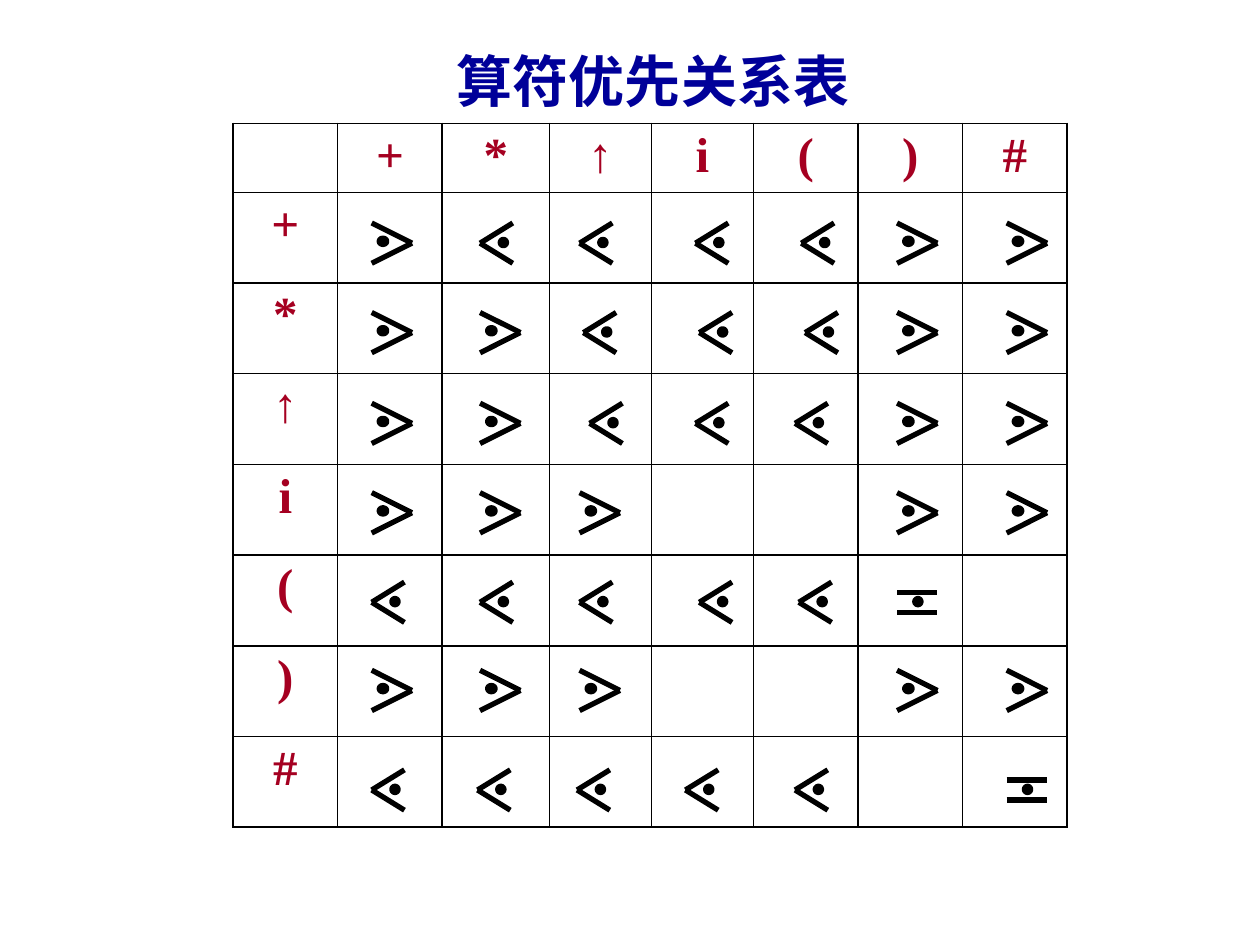
from lxml import etree
from pptx import Presentation
from pptx.dml.color import RGBColor
from pptx.enum import shapes, text
from pptx.oxml.ns import qn
from pptx.util import Inches, Pt

BLACK = RGBColor(0x00, 0x00, 0x00)
NAVY = RGBColor(0x00, 0x00, 0x99)
CRIMSON = RGBColor(0xA5, 0x00, 0x21)
FONT = "Times New Roman"

OPERATORS = ["+", "*", "↑", "i", "(", ")", "#"]
COLUMN_WIDTHS = [0.83, 0.83, 0.85, 0.81, 0.81, 0.83, 0.83, 0.83]
HEADER_HEIGHT, ROW_HEIGHT = 0.53, 0.72

# Each row: top of its symbols, relations by column, left edge of each symbol
RELATIONS = [
    (1.77, "><<<<>>", [2.95, 3.81, 4.60, 5.52, 6.36, 7.12, 7.99]),
    (2.48, ">><<<>>", [2.95, 3.81, 4.63, 5.55, 6.39, 7.12, 7.99]),
    (3.20, ">><<<>>", [2.95, 3.81, 4.68, 5.52, 6.31, 7.12, 7.99]),
    (3.91, ">>>  >>", [2.95, 3.81, 4.60, 0, 0, 7.12, 7.99]),
    (4.62, "<<<<<= ", [2.95, 3.81, 4.60, 5.55, 6.34, 7.12, 0]),
    (5.32, ">>>  >>", [2.95, 3.81, 4.60, 0, 0, 7.12, 7.99]),
    (6.11, "<<<<< =", [2.95, 3.79, 4.58, 5.44, 6.31, 0, 7.99]),
]
# Each symbol: two strokes (x1, y1, x2, y2) and its dot (x, y, width, height)
SYMBOLS = {
    ">": ([(0, 0, 0.32, 0.16), (0.32, 0.16, 0, 0.32)], (0.06, 0.12, 0.06, 0.05)),
    "<": ([(0.26, 0.32, 0, 0.16), (0, 0.16, 0.26, 0)], (0.16, 0.13, 0.05, 0.05)),
    "=": ([(0, 0.08, 0.32, 0.08), (0, 0.24, 0.32, 0.24)], (0.14, 0.13, 0.05, 0.05)),
}


def write(tf, words, size, color):
    p = tf.paragraphs[0]
    p.alignment = text.PP_ALIGN.CENTER
    r = p.add_run()
    r.text = words
    for name, value in dict(name=FONT, size=Pt(size), bold=True).items():
        setattr(r.font, name, value)
    r.font.color.rgb = color


def draw_symbol(s, relation, left, top):
    """Draw a dotted precedence sign as one group."""
    strokes, (x, y, width, height) = SYMBOLS[relation]
    group = s.shapes.add_group_shape()
    for x1, y1, x2, y2 in strokes:
        line = group.shapes.add_connector(
            shapes.MSO_CONNECTOR.STRAIGHT,
            Inches(left + x1), Inches(top + y1), Inches(left + x2), Inches(top + y2))
        line.line.color.rgb = BLACK
        line.line.width = Pt(3)
        etree.SubElement(line._element.spPr, qn("a:effectLst"))
    dot = group.shapes.add_shape(
        shapes.MSO_SHAPE.OVAL,
        Inches(left + x), Inches(top + y), Inches(width), Inches(height))
    dot.shadow.inherit = False
    dot.fill.solid()
    dot.fill.fore_color.rgb = BLACK
    dot.line.color.rgb = BLACK
    dot.line.width = Pt(3)


prs = Presentation()
prs.slide_width, prs.slide_height = Inches(10), Inches(7.5)
s = prs.slides.add_slide(prs.slide_layouts[6])

title = s.shapes.add_textbox(Inches(1.77), Inches(0.36), Inches(6.93), Inches(0.55))
tf = title.text_frame
tf.word_wrap = True
tf.vertical_anchor = text.MSO_ANCHOR.MIDDLE
write(tf, "算符优先关系表 ", 32, NAVY)

size = len(OPERATORS) + 1
table = s.shapes.add_table(
    size, size, Inches(1.85), Inches(0.98), Inches(sum(COLUMN_WIDTHS)),
    Inches(HEADER_HEIGHT + len(OPERATORS) * ROW_HEIGHT)).table
table.first_row = table.horz_banding = False
for column, width in zip(table.columns, COLUMN_WIDTHS):
    column.width = Inches(width)
for i, row in enumerate(table.rows):
    row.height = Inches(ROW_HEIGHT if i else HEADER_HEIGHT)

for cell in table.iter_cells():
    cell.margin_top = cell.margin_bottom = Inches(0.04)
    tcPr = cell._tc.get_or_add_tcPr()
    for side in ("lnL", "lnR", "lnT", "lnB"):
        border = etree.SubElement(tcPr, qn(f"a:{side}"), w=str(Pt(1)))
        fill = etree.SubElement(border, qn("a:solidFill"))
        etree.SubElement(fill, qn("a:srgbClr"), val=str(BLACK))
    cell.fill.background()

for i, operator in enumerate(OPERATORS, 1):
    for cell in (table.cell(0, i), table.cell(i, 0)):
        write(cell.text_frame, operator, 28, CRIMSON)

for top, relations, lefts in RELATIONS:
    for relation, left in zip(relations, lefts):
        if relation in SYMBOLS:
            draw_symbol(s, relation, left, top)

prs.save("out.pptx")
